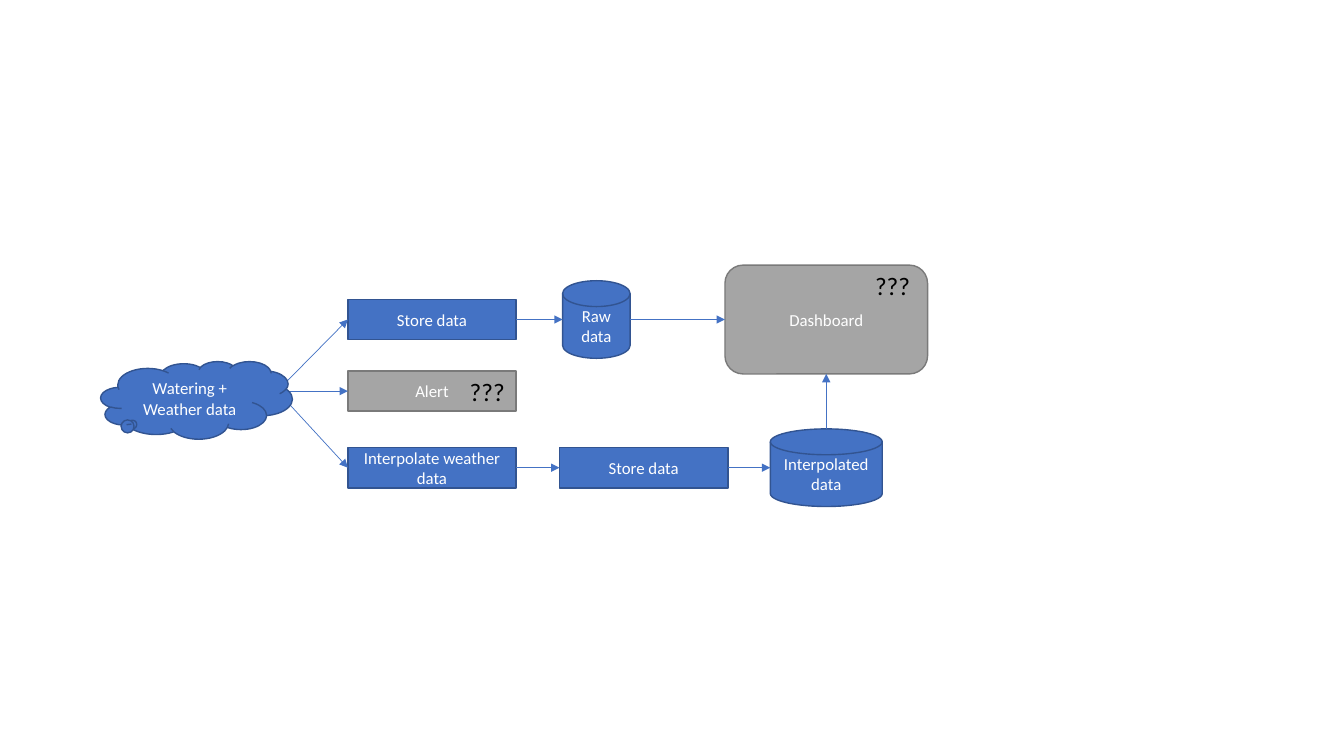
from lxml.etree import SubElement
from pptx import Presentation
from pptx.dml.color import RGBColor
from pptx.enum.shapes import MSO_CONNECTOR, MSO_SHAPE
from pptx.enum.text import MSO_ANCHOR, MSO_AUTO_SIZE, PP_ALIGN
from pptx.oxml.ns import qn
from pptx.util import Inches, Pt

BLUE = RGBColor(0x44, 0x72, 0xC4)
DARK_BLUE = RGBColor(0x32, 0x54, 0x91)
GRAY = RGBColor(0xA5, 0xA5, 0xA5)
DARK_GRAY = RGBColor(0x7A, 0x7A, 0x7A)
WHITE = RGBColor(0xFF, 0xFF, 0xFF)
BLACK = RGBColor(0x00, 0x00, 0x00)
READY = (BLUE, DARK_BLUE)
OPEN = (GRAY, DARK_GRAY)

STEP_SIZE = (1.67, 0.4)
DISK_HEIGHT = 0.77


def add_span(para, text, size, color):
    """Add one run of text to a paragraph."""
    span = para.add_run()
    span.text = text
    span.font.name = "Calibri"
    span.font.size = Pt(size)
    span.font.color.rgb = color


def add_node(page, kind, left, middle, size, label, colors=READY):
    """Add a labelled shape, centred vertically on the given middle."""
    width, height = size
    node = page.shapes.add_shape(kind, Inches(left), Inches(middle - height / 2),
                                 Inches(width), Inches(height))
    node.shadow.inherit = False
    fill, outline = colors
    node.fill.solid()
    node.fill.fore_color.rgb = fill
    node.line.color.rgb = outline
    node.line.width = Pt(1)
    node.text_frame.word_wrap = True
    node.text_frame.vertical_anchor = MSO_ANCHOR.MIDDLE
    para = node.text_frame.paragraphs[0]
    para.alignment = PP_ALIGN.CENTER
    add_span(para, label, 12, WHITE)
    return node


def add_question(page, left, top):
    """Add the question marks of an undecided part."""
    box = page.shapes.add_textbox(Inches(left), Inches(top), Inches(0.55), Inches(0.4))
    box.text_frame.word_wrap = False
    box.text_frame.auto_size = MSO_AUTO_SIZE.SHAPE_TO_FIT_TEXT
    add_span(box.text_frame.paragraphs[0], "???", 18, BLACK)


def edge(node, across, down):
    """Return the point at the given fractions of a shape's width and height."""
    return (round(node.left + across * node.width),
            round(node.top + down * node.height))


def add_arrow(page, start, end):
    """Add a thin arrow between two points."""
    arrow = page.shapes.add_connector(MSO_CONNECTOR.STRAIGHT, *start, *end)
    arrow.line.color.rgb = BLUE
    arrow.line.width = Pt(0.5)
    SubElement(arrow.line._get_or_add_ln(), qn("a:tailEnd"), type="triangle")
    SubElement(arrow._element.spPr, qn("a:effectLst"))


def add_chain(page, nodes):
    """Join neighbouring shapes from left to right with arrows."""
    for source, target in zip(nodes, nodes[1:]):
        add_arrow(page, edge(source, 1, 0.5), edge(target, 0, 0.5))


def add_data_flow(page, box):
    """Draw the flow from the data source to the dashboard in a box."""
    left, top = box
    raw_row, alert_row, weather_row = top + 0.54, top + 1.25, top + 2.01
    step, disk = MSO_SHAPE.RECTANGLE, MSO_SHAPE.FLOWCHART_MAGNETIC_DISK

    store_raw = add_node(page, step, left + 2.45, raw_row, STEP_SIZE, "Store data")
    alert = add_node(page, step, left + 2.45, alert_row, STEP_SIZE, "Alert", OPEN)
    interpolate = add_node(page, step, left + 2.45, weather_row, STEP_SIZE,
                           "Interpolate weather data")
    store_weather = add_node(page, step, left + 4.55, weather_row, STEP_SIZE, "Store data")
    raw = add_node(page, disk, left + 4.58, raw_row, (0.67, DISK_HEIGHT), "Raw data")
    interpolated = add_node(page, disk, left + 6.64, weather_row, (1.11, DISK_HEIGHT),
                            "Interpolated data")
    dashboard = add_node(page, MSO_SHAPE.ROUNDED_RECTANGLE, left + 6.19, raw_row,
                         (2.01, 1.08), "Dashboard", OPEN)

    for first_step in (store_raw, alert, interpolate):
        add_arrow(page, (Inches(left + 1.75), Inches(alert_row)), edge(first_step, 0, 0.5))
    add_chain(page, [store_raw, raw, dashboard])
    add_chain(page, [interpolate, store_weather, interpolated])
    add_arrow(page, edge(interpolated, 0.5, 0), edge(dashboard, 0.5, 1))

    add_question(page, left + 3.56, alert_row - 0.2)
    add_question(page, left + 7.58, top)

    cloud = add_node(page, MSO_SHAPE.CLOUD_CALLOUT, left, top + 1.34, (1.9, 0.77),
                     "Watering + Weather data")
    cloud.adjustments[0] = -0.33
    cloud.adjustments[1] = 0.31


def main():
    """Build and save the deck."""
    deck = Presentation()
    deck.slide_width, deck.slide_height = Inches(13.33), Inches(7.5)
    page = deck.slides.add_slide(deck.slide_layouts[6])
    add_data_flow(page, (1, 2.63))
    deck.save("out.pptx")


main()
